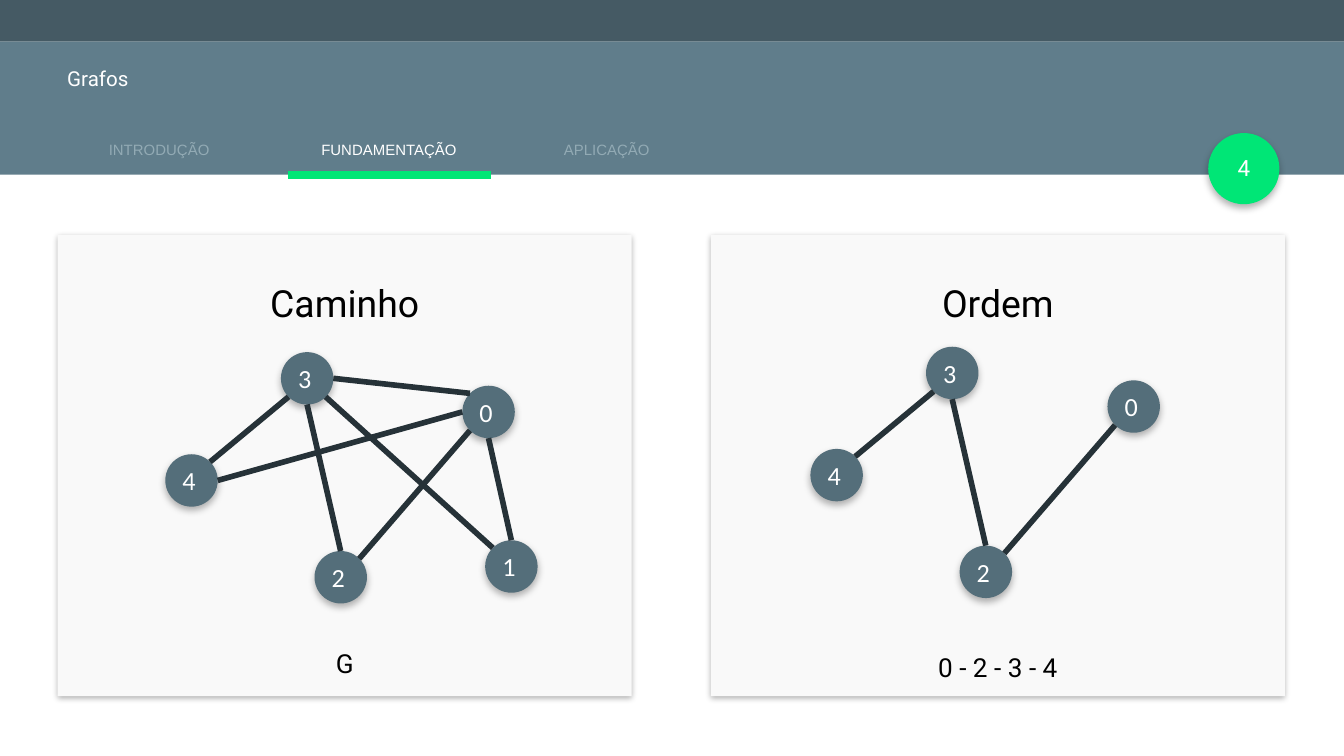
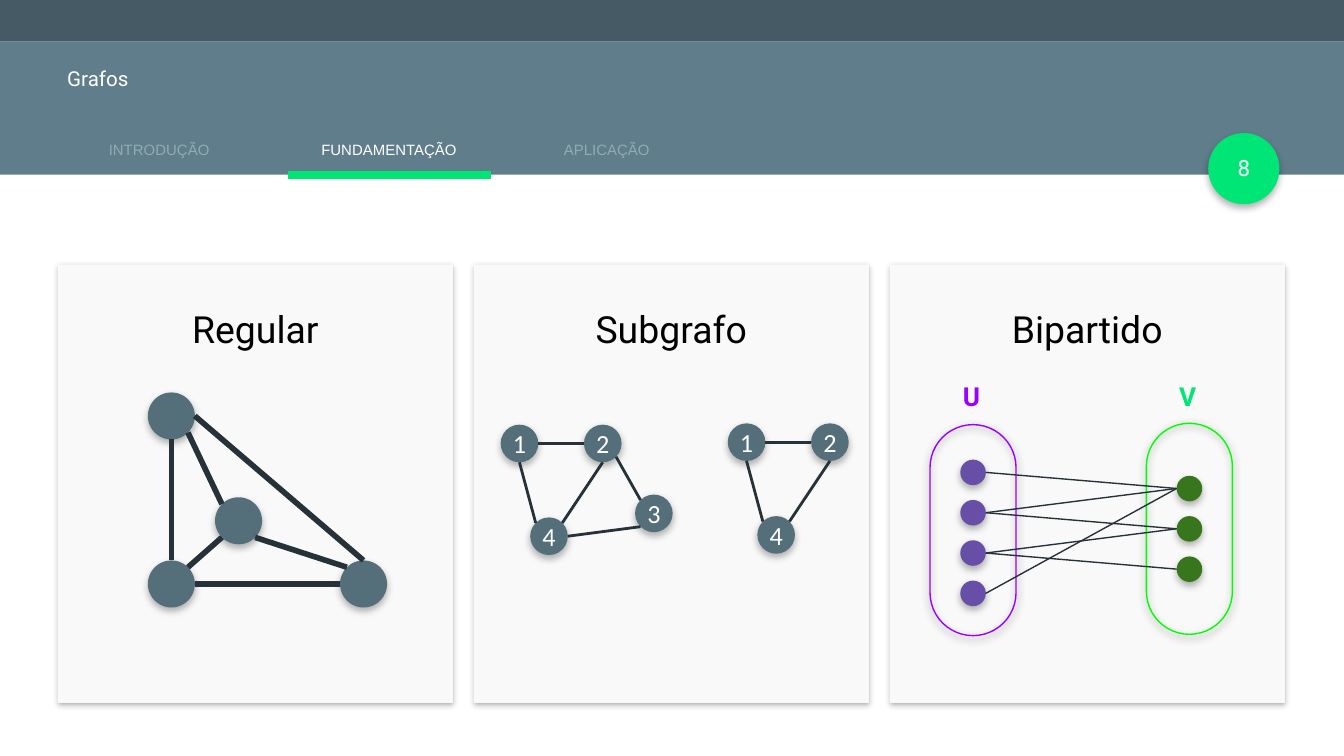
from collections import namedtuple
from math import sqrt

from lxml import etree
from pptx import Presentation
from pptx import util as u
from pptx.dml.color import RGBColor
from pptx.enum import shapes, text
from pptx.oxml.ns import qn

# Grid: 100 columns across the slide, square cells
COLUMNS, ROWS = 100, 56.25
CELL = u.Inches(10) // COLUMNS
MARGIN, CONTENT_WIDTH = 4.3, 91.3

WHITE = RGBColor(0xFF, 0xFF, 0xFF)
BLACK = RGBColor(0x00, 0x00, 0x00)
STATUS_BAR = RGBColor(0x45, 0x5A, 0x64)
APP_BAR = RGBColor(0x60, 0x7D, 0x8B)
ACCENT = RGBColor(0x00, 0xE6, 0x76)
TAB_IDLE = RGBColor(0x92, 0xAA, 0xB4)
CARD = RGBColor(0xF9, 0xF9, 0xF9)
NODE = RGBColor(0x54, 0x6E, 0x7A)
EDGE = RGBColor(0x26, 0x32, 0x38)
U_COLOR = RGBColor(0x99, 0x00, 0xFF)
U_NODE = RGBColor(0x67, 0x4E, 0xA7)
V_OUTLINE = RGBColor(0x00, 0xFF, 0x00)
V_NODE = RGBColor(0x38, 0x76, 0x1D)

# Shadows: opacity in percent, blur and distance in points
Shadow = namedtuple("Shadow", "opacity blur distance")
CARD_SHADOW = Shadow(30, 3, 1)
NODE_SHADOW = Shadow(30, 4, 2)
SET_SHADOW = Shadow(50, 4.5, 1.5)

TIGHT = (0.7, 0.4, 0.7, 0.4)
LOOSE = (1, 1, 1, 1)
CENTER = text.PP_ALIGN.CENTER
LEFT = text.PP_ALIGN.LEFT
TABS = [("INTRODUÇÃO", 4.3), ("FUNDAMENTAÇÃO", 21.4), ("APLICAÇÃO", 37.6)]
TAB_WIDTH = 15.1

# Points on a circle, as shares of its radius
D = sqrt(0.5)
SITES = {"n": (0, -1), "ne": (D, -D), "e": (1, 0), "se": (D, D),
         "s": (0, 1), "sw": (-D, D), "w": (-1, 0), "nw": (-D, -D)}


class Box(namedtuple("Box", "left top width height")):
    def area(self, left, top, width, height):
        return Box(self.left + left, self.top + top, width, height)

    def site(self, name):
        x, y = SITES[name]
        return (self.left + self.width * (1 + x) / 2,
                self.top + self.height * (1 + y) / 2)

    def emu(self):
        return [cells(value) for value in self]


def cells(count):
    return u.Emu(round(count * CELL))


# Basic elements
def write(shape, content, size, font="Roboto", color=WHITE, align=CENTER,
          insets=TIGHT, middle=False, spacing=None, bold=False):
    frame = shape.text_frame
    frame.word_wrap = True
    frame.margin_left, frame.margin_top, frame.margin_right, frame.margin_bottom = (
        cells(inset) for inset in insets)
    frame.vertical_anchor = text.MSO_ANCHOR.MIDDLE if middle else text.MSO_ANCHOR.TOP
    frame.text = content
    paragraph = frame.paragraphs[0]
    paragraph.alignment = align
    paragraph.line_spacing = spacing
    run_font = paragraph.runs[0].font
    run_font.name, run_font.size, run_font.bold = font, u.Pt(size), bold
    run_font.color.rgb = color


def add_label(slide, box, content, size, **style):
    write(slide.shapes.add_textbox(*box.emu()), content, size, **style)


def add_block(slide, box, kind, fill=None, line=None, shadow=None):
    shape = slide.shapes.add_shape(kind, *box.emu())
    if fill is None:
        shape.fill.background()
    else:
        shape.fill.solid()
        shape.fill.fore_color.rgb = fill
    if line is None:
        shape.line.fill.background()
    else:
        shape.line.color.rgb = line
        shape.line.width = u.Pt(0.75)
    shape.shadow.inherit = False
    if shadow:
        effects = shape._element.spPr.find(qn("a:effectLst"))
        outer = etree.SubElement(
            effects, qn("a:outerShdw"), blurRad=str(u.Pt(shadow.blur)),
            dist=str(u.Pt(shadow.distance)), dir="5400000", algn="bl",
            rotWithShape="0")
        color = etree.SubElement(outer, qn("a:srgbClr"), val="000000")
        etree.SubElement(color, qn("a:alpha"), val=str(shadow.opacity * 1000))
    return shape


def add_line(slide, start, end, color, width):
    connector = slide.shapes.add_connector(
        shapes.MSO_CONNECTOR.STRAIGHT, *(cells(value) for value in (*start, *end)))
    connector.line.color.rgb = color
    connector.line.width = u.Pt(width)
    etree.SubElement(connector._element.spPr, qn("a:effectLst"))


def add_circle(slide, box, fill):
    return add_block(slide, box, shapes.MSO_SHAPE.OVAL, fill, shadow=NODE_SHADOW)


# Graph: nodes are {name: (left, top)}, edges read "node site node site"
def add_graph(slide, box, nodes, edges, diameter, width, shift=(0, 0), label=None):
    circles = {}
    for name, (left, top) in nodes.items():
        circles[name] = box.area(left + shift[0], top + shift[1], diameter, diameter)
        circle = add_circle(slide, circles[name], NODE)
        if label:
            write(circle, name, 14, font="Calibri", middle=True, **label)
    for edge in edges:
        first, first_site, second, second_site = edge.split()
        add_line(slide, circles[first].site(first_site),
                 circles[second].site(second_site), EDGE, width)


# Header shared by the slides
def add_header(slide, number, active_tab="FUNDAMENTAÇÃO"):
    rectangle = shapes.MSO_SHAPE.RECTANGLE
    add_block(slide, Box(0, 0, COLUMNS, 3.1), rectangle, STATUS_BAR)
    header = Box(0, 3.1, COLUMNS, 9.9)
    add_block(slide, header, rectangle, APP_BAR)
    add_circle(slide, header.area(89.9, 6.8, 5.3, 5.3), ACCENT)
    for name, left in TABS:
        active = name == active_tab
        tab = header.area(left, 7, TAB_WIDTH, 2)
        if active:
            bottom = header.top + header.height
            add_line(slide, (left, bottom), (left + TAB_WIDTH, bottom), ACCENT, 4.5)
        add_label(slide, tab, name, 8, font="Arial",
                  color=WHITE if active else TAB_IDLE)
    add_label(slide, header.area(MARGIN, 1.6, 92.1, 3.5), "Grafos", 11,
              align=LEFT, spacing=0.9)
    add_label(slide, header.area(89.6, 7.9, 5.9, 3), str(number), 12, middle=True)


# Row of equal cards spread over the content width
def add_cards(slide, titles, top, width, height, title_top):
    step = (CONTENT_WIDTH - width) / (len(titles) - 1)
    boxes = [Box(MARGIN + index * step, top, width, height)
             for index in range(len(titles))]
    for box, title in zip(boxes, titles):
        add_block(slide, box, shapes.MSO_SHAPE.RECTANGLE, CARD, shadow=CARD_SHADOW)
        add_label(slide, centered(box, title_top, 5), title, 20,
                  color=BLACK, spacing=1.2)
    return boxes


def centered(box, top, height, width=25.2):
    return box.area((box.width - width) / 2, top, width, height)


# Cards on paths and order
def add_path_cards(slide):
    path_card, order_card = add_cards(
        slide, ["Caminho", "Ordem"], top=17.5, width=42.7, height=34.3, title_top=2.3)
    nodes = {"0": (30.1, 11.2), "1": (31.8, 22.7), "2": (19.1, 23.5),
             "3": (16.6, 8.7), "4": (8, 16.3)}
    route = ["4 ne 3 sw", "2 n 3 s", "2 ne 0 sw"]
    others = ["1 nw 3 se", "1 n 0 s", "0 nw 3 e", "4 e 0 w"]
    style = dict(diameter=3.9, width=3, label={"align": LEFT})
    add_graph(slide, path_card, nodes, route + others, **style)
    route_nodes = {name: nodes[name] for name in "0234"}
    add_graph(slide, order_card, route_nodes, route, shift=(-0.6, -0.4), **style)
    for card, top, caption in [(path_card, 29.7, "G"),
                               (order_card, 30, "0 - 2 - 3 - 4")]:
        add_label(slide, centered(card, top, 4.4), caption, 14,
                  color=BLACK, insets=LOOSE)


# Cards on kinds of graph
def add_regular(slide, card):
    nodes = {"middle": (11.7, 17.3), "top": (6.7, 9.5),
             "right": (21, 22), "corner": (6.7, 22)}
    edges = ["corner n top s", "corner e right w", "right n top e",
             "top se middle nw", "corner ne middle sw", "right nw middle se"]
    add_graph(slide, card, nodes, edges, diameter=3.5, width=3)


def add_subgraph(slide, card):
    nodes = {"1": (2, 11.9), "2": (8.2, 11.9), "3": (12, 17.1), "4": (4.2, 18.8)}
    triangle = ["1 s 4 nw", "1 e 2 w", "2 s 4 ne"]
    style = dict(diameter=2.8, width=1.5, label={"insets": (0.5, 0.4, 0.7, 0.4)})
    add_graph(slide, card, nodes, triangle + ["2 se 3 nw", "4 e 3 sw"], **style)
    triangle_nodes = {name: nodes[name] for name in "124"}
    add_graph(slide, card, triangle_nodes, triangle, shift=(16.9, -0.1), **style)


def add_bipartite(slide, card):
    # Name, outline left and top, node top, count, outline, label and node colours
    sets = [("U", 3, 11.9, 14.5, 4, U_COLOR, U_COLOR, U_NODE),
            ("V", 19.1, 11.8, 15.7, 3, V_OUTLINE, ACCENT, V_NODE)]
    members = {}
    for name, left, top, node_top, count, outline, label_color, fill in sets:
        capsule = add_block(slide, card.area(left, top, 6.4, 15.7),
                            shapes.MSO_SHAPE.ROUNDED_RECTANGLE,
                            line=outline, shadow=SET_SHADOW)
        capsule.adjustments[0] = 0.5
        add_label(slide, card.area(left + 1.45, 7.6, 3.5, 4.4), name, 14,
                  color=label_color, align=LEFT, insets=LOOSE, bold=True)
        members[name] = [card.area(left + 2.25, node_top + 3 * index, 1.9, 1.9)
                         for index in range(count)]
        for box in members[name]:
            add_circle(slide, box, fill)
    for first, second in [(0, 0), (1, 0), (2, 2), (1, 1), (3, 0), (2, 1)]:
        add_line(slide, members["U"][first].site("e"),
                 members["V"][second].site("w"), EDGE, 0.75)


def add_kind_cards(slide):
    cards = add_cards(slide, ["Regular", "Subgrafo", "Bipartido"],
                      top=19.7, width=29.4, height=32.6, title_top=2)
    for draw, card in zip((add_regular, add_subgraph, add_bipartite), cards):
        draw(slide, card)


def main():
    presentation = Presentation()
    presentation.slide_width = cells(COLUMNS)
    presentation.slide_height = cells(ROWS)
    blank = presentation.slide_layouts[6]
    for number, add_content in [(4, add_path_cards), (8, add_kind_cards)]:
        slide = presentation.slides.add_slide(blank)
        add_header(slide, number)
        add_content(slide)
    presentation.save("out.pptx")


if __name__ == "__main__":
    main()
